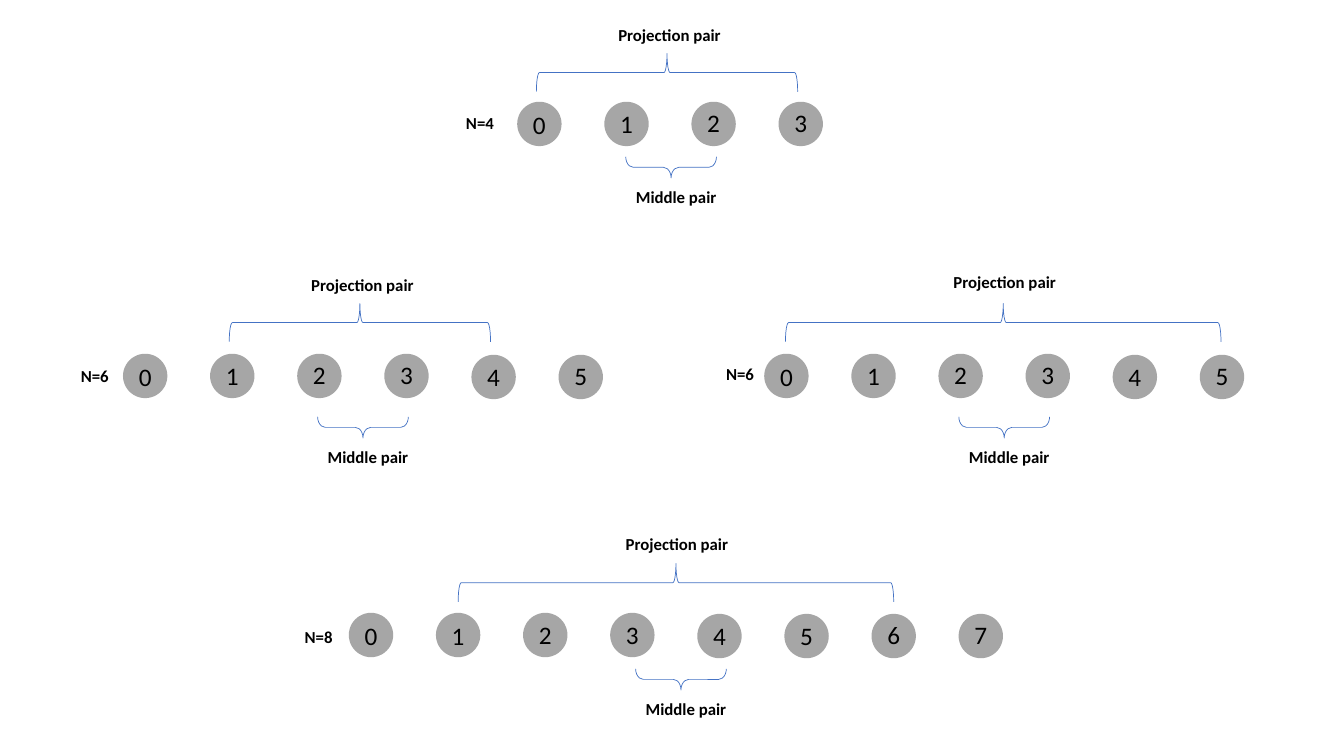
from pptx import Presentation, util as u
from pptx.dml.color import RGBColor
from pptx.enum import shapes, text

HUE = {"disc": "A6A6A6", "brace": "4472C4", "ink": "000000"}
FONT = "Calibri"
WIDE, HIGH = 13.33, 7.5

# Each chain: nodes, centre of node 0, first projected node,
# name gap (across, down), projection (shift, rise, label rise),
# middle (shift, drop)
CHAINS = [
    (4, (5.35, 1.23), 0, (0.59, -0.01), (-0.03, 0.51, 0.37), (0.01, 0.43)),
    (6, (1.44, 3.73), 1, (0.5, 0), (-0.03, 0.53, 0.37), (0, 0.51)),
    (6, (7.8, 3.73), 0, (0.46, -0.02), (-0.01, 0.53, 0.4), (0, 0.51)),
    (8, (3.68, 6.3), 1, (0.52, 0.02), (0, 0.52, 0.38), (0.05, 0.44)),
]
PAIRS = {"top": "Projection pair", "low": "Middle pair"}

# Grid: five columns span a six-node chain
COL = 4.32 / 5
DISC = 0.44
SINK = [0, 0, 0, 0, 0.01, 0.01, 0.01, 0.01]   # disc offset by node
DIP = [0.01, 0, -0.01, -0.01]                 # digit offset, repeating


def hue(key):
    return RGBColor.from_string(HUE[key])


def box(x, y, w, h):
    """Frame of a part centred on x, y."""
    return [u.Inches(v) for v in (x - w / 2, y - h / 2, w, h)]


def label(group, words, x, y, w, h, size, bold):
    frame = group.shapes.add_textbox(*box(x, y, w, h)).text_frame
    frame.word_wrap = False
    frame.auto_size = text.MSO_AUTO_SIZE.SHAPE_TO_FIT_TEXT
    para = frame.paragraphs[0]
    para.alignment = text.PP_ALIGN.CENTER
    run = para.add_run()
    run.text = words
    run.font.name = FONT
    run.font.size = u.Pt(size)
    run.font.bold = bold
    run.font.color.rgb = hue("ink")


def disc(group, x, y):
    part = group.shapes.add_shape(shapes.MSO_SHAPE.OVAL, *box(x, y, DISC, DISC))
    part.shadow.inherit = False
    part.fill.solid()
    part.fill.fore_color.rgb = hue("disc")
    part.line.fill.background()


def brace(group, x, y, deep, span, turn, curl):
    part = group.shapes.add_shape(
        shapes.MSO_SHAPE.RIGHT_BRACE, *box(x, y, deep, span))
    part.shadow.inherit = False
    part.rotation = turn
    part.adjustments[0] = curl
    part.fill.background()
    part.line.color.rgb = hue("brace")
    part.line.width = u.Pt(0.5)


def chain(slide, count, start, first, name, top, low):
    group = slide.shapes.add_group_shape()
    x, y = start
    mid = x + (count - 1) / 2 * COL

    # Numbered nodes
    for i in range(count):
        disc(group, x + i * COL, y + SINK[i])
    for i in range(count):
        label(group, str(i), x + i * COL, y + DIP[i % 4], 0.33, 0.4, 18, False)

    # Middle pair below
    shift, drop = low
    brace(group, mid + shift, y + drop, 0.21, 0.9, 90, 0.36)
    label(group, PAIRS["low"], mid + shift + 0.05, y + drop + 0.29,
          1.01, 0.3, 12, True)

    # Projection pair above
    shift, rise, lift = top
    span = (count - 1 - 2 * first) * COL
    brace(group, mid + shift, y - rise, 0.38, span, 270, 0.08)
    label(group, PAIRS["top"], mid + shift / 2 + 0.01, y - rise - lift,
          1.23, 0.3, 12, True)

    # Chain size at the left
    label(group, f"N={count}", x - name[0], y + name[1], 0.48, 0.3, 12, True)


def main():
    deck = Presentation()
    deck.slide_width, deck.slide_height = u.Inches(WIDE), u.Inches(HIGH)
    slide = deck.slides.add_slide(deck.slide_layouts[6])
    for row in CHAINS:
        chain(slide, *row)
    deck.save("out.pptx")


if __name__ == "__main__":
    main()
